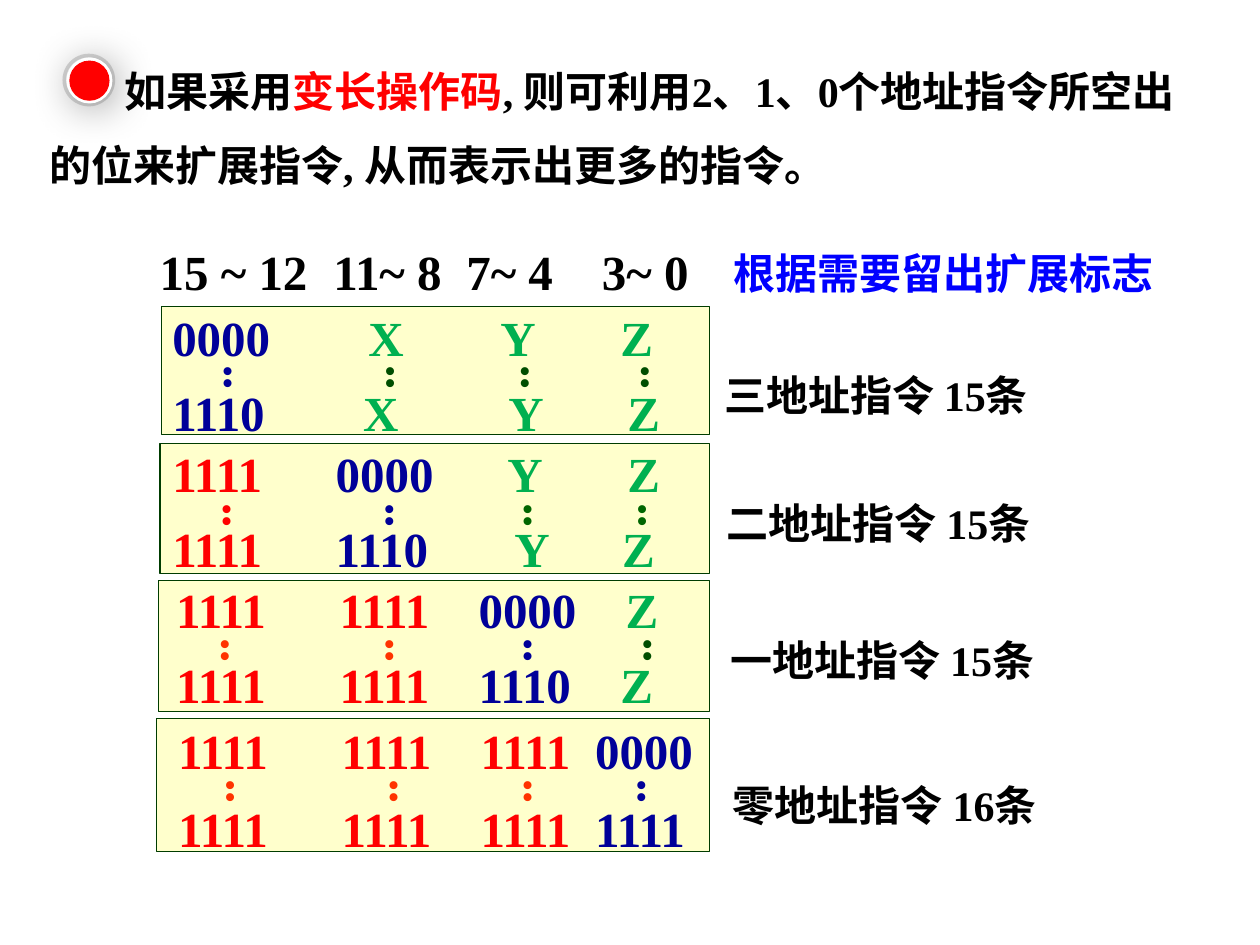
"""Build the slide on expanding opcodes of variable length."""
from dataclasses import dataclass
from typing import NamedTuple

from lxml.etree import SubElement
from pptx import Presentation
from pptx.dml.color import RGBColor
from pptx.enum.shapes import MSO_SHAPE
from pptx.enum.text import MSO_ANCHOR, MSO_AUTO_SIZE, PP_ALIGN
from pptx.oxml.ns import qn
from pptx.util import Pt


@dataclass(frozen=True)
class Theme:
    """Hold the colours, fonts and type sizes."""
    black: str = "000000"
    white: str = "FFFFFF"
    emphasis: str = "FF0000"
    note: str = "0000FF"
    opcode: str = "000099"
    address: str = "00B050"
    panel: str = "FFFFCC"
    panel_line: str = "003C00"
    ring: str = "D9D9D9"
    disc: tuple = ("F6F9FC", "F2F2F2")
    latin: str = "Times New Roman"
    cjk: str = "Noto Sans CJK SC"
    text_size: float = 24
    code_size: float = 28


class Box(NamedTuple):
    """Give a frame in points."""
    left: float
    top: float
    width: float
    height: float


class Piece(NamedTuple):
    """Describe a run of text."""
    text: str
    color: str
    size: float
    font: str


class CodeLine(NamedTuple):
    """Describe the four fields of one code and their tab stops."""
    fields: str
    tabs: tuple


@dataclass(frozen=True)
class Format:
    """Describe one instruction format with its panel, codes and label."""
    panel: Box
    codes: Box
    first: CodeLine
    last: CodeLine
    gap: float
    dots_left: tuple
    dots_top: float
    prefix_dot: str
    address_dot: str
    label: Box
    name: str
    count: str


THEME = Theme()

FORMATS = (
    Format(Box(92.2, 175, 313.2, 73.4), Box(91.4, 172.1, 316, 81.4),
           CodeLine("0000 X Y Z", (112, 187.5, 256)), CodeLine("1110 X Y Z", (109, 192, 260)), 9.5,
           (111.6, 204.5, 281.5, 350), 201.8, "FF0000", "004E00",
           Box(406.8, 207.4, 237.6, 36), "三地址指令 ", "15条"),
    Format(Box(91.4, 253.4, 313.9, 74.2), Box(91.4, 249.8, 319.7, 81.4),
           CodeLine("1111 0000 Y Z", (93.4, 191.5, 260)), CodeLine("1111 1110 Y Z", (93.4, 195.5, 257)), 9.5,
           (111, 204, 283, 348.5), 280.6, "FF0000", "006600",
           Box(408.2, 280.8, 243.4, 36), "二地址指令 ", "15条"),
    Format(Box(90.7, 331.9, 314.6, 74.9), Box(93.6, 327.6, 312.5, 81.4),
           CodeLine("1111 1111 0000 Z", (93.4, 172.8, 256.8)), CodeLine("1111 1111 1110 Z", (93.4, 172.8, 253.8)), 9.5,
           (110, 204, 283, 351.5), 357.5, "FF3300", "004E00",
           Box(410.4, 359.3, 259.2, 36), "一地址指令 ", "15条"),
    Format(Box(89.3, 410.4, 316.1, 76.3), Box(94.8, 408.2, 315.6, 81.4),
           CodeLine("1111 1111 1111 0000", (93.4, 172.8, 238.2)), CodeLine("1111 1111 1111 1111", (93.4, 172.8, 238.2)), 10.7,
           (113, 206.5, 283, 348), 438.5, "FF3300", "004E00",
           Box(411.8, 442.1, 288, 36), "零地址指令 ", "16条"),
)


def rgb(color: str) -> RGBColor:
    """Turn a hex string into a colour."""
    return RGBColor.from_string(color)


def apply(target, values: dict) -> None:
    """Set each attribute named in the format values."""
    for key, value in values.items():
        setattr(target, key, value)


def points(box: Box) -> tuple:
    """Turn a frame into lengths."""
    return tuple(Pt(value) for value in box)


def write(paragraph, pieces: list[Piece]) -> None:
    """Add formatted bold runs to a paragraph."""
    for piece in pieces:
        run = paragraph.add_run()
        run.text = piece.text
        apply(run.font, {"size": Pt(piece.size), "bold": True, "name": piece.font})
        run.font.color.rgb = rgb(piece.color)
        SubElement(run.font._element, qn("a:ea"), typeface=THEME.cjk)


def set_tabs(paragraph, stops: tuple) -> None:
    """Add left tab stops to a paragraph."""
    tab_list = SubElement(paragraph._p.get_or_add_pPr(), qn("a:tabLst"))
    for stop in stops:
        SubElement(tab_list, qn("a:tab"), pos=str(int(Pt(stop))), algn="l")


def add_text(slide, box: Box, pieces: list[Piece], wrap: bool = True, tabs: tuple = ()):
    """Add a text box with one paragraph and return its frame."""
    frame = slide.shapes.add_textbox(*points(box)).text_frame
    apply(frame, {"word_wrap": wrap, "auto_size": MSO_AUTO_SIZE.NONE})
    if tabs:
        set_tabs(frame.paragraphs[0], tabs)
    write(frame.paragraphs[0], pieces)
    return frame


def add_shape(slide, kind: MSO_SHAPE, box: Box, fill: str | None, line: str | None, weight: float = 0):
    """Add a flat preset shape."""
    shape = slide.shapes.add_shape(kind, *points(box))
    shape.shadow.inherit = False
    if fill:
        shape.fill.solid()
        shape.fill.fore_color.rgb = rgb(fill)
    else:
        shape.fill.background()
    if line:
        shape.line.color.rgb = rgb(line)
        shape.line.width = Pt(weight)
    else:
        shape.line.fill.background()
    return shape


def code_pieces(line: CodeLine, opcode_column: int) -> list[Piece]:
    """Colour the fields before, at and after the opcode column."""
    pieces = []
    for column, field in enumerate(line.fields.split()):
        color = THEME.emphasis if column < opcode_column else THEME.opcode
        if column > opcode_column:
            color = THEME.address
        pieces.append(Piece(("\t" if column else "") + field, color, THEME.code_size, THEME.latin))
    return pieces


def draw_format(slide, fmt: Format, opcode_column: int) -> None:
    """Draw one instruction format."""
    add_shape(slide, MSO_SHAPE.RECTANGLE, fmt.panel, THEME.panel, THEME.panel_line, 0.75)
    frame = add_text(slide, fmt.codes, code_pieces(fmt.first, opcode_column), tabs=fmt.first.tabs)
    last = frame.add_paragraph()
    last.space_before = Pt(fmt.gap)
    set_tabs(last, fmt.last.tabs)
    write(last, code_pieces(fmt.last, opcode_column))
    for column, left in enumerate(fmt.dots_left):
        color = fmt.prefix_dot if column < opcode_column else THEME.opcode
        if column > opcode_column:
            color = fmt.address_dot
        dots = add_text(slide, Box(left, fmt.dots_top, 48.2, 29),
                        [Piece("..", color, THEME.code_size, THEME.latin)])
        dots._txBody.bodyPr.set("vert", "eaVert")
    add_text(slide, fmt.label, [Piece(fmt.name, THEME.black, THEME.text_size, THEME.cjk),
                                Piece(fmt.count, THEME.black, THEME.text_size, THEME.latin)])


def draw_statement(slide) -> None:
    """Fill the title placeholder with the statement."""
    title = slide.shapes.title
    apply(title, dict(zip(("left", "top", "width", "height"), points(Box(20.9, 20.9, 676.8, 88.6)))))
    frame = title.text_frame
    apply(frame, {"word_wrap": True, "auto_size": MSO_AUTO_SIZE.NONE, "vertical_anchor": MSO_ANCHOR.TOP})
    paragraph = frame.paragraphs[0]
    apply(paragraph, {"alignment": PP_ALIGN.LEFT, "line_spacing": Pt(42)})
    paragraph._p.get_or_add_pPr().set("indent", str(int(Pt(43.2))))
    parts = (("如果采用", THEME.black), ("变长操作码", THEME.emphasis),
             (", 则可利用2、1、0个地址指令所空出的位来扩展指令, 从而表示出更多的指令。", THEME.black))
    write(paragraph, [Piece(text, color, THEME.text_size, THEME.latin) for text, color in parts])


def draw_marker(slide) -> None:
    """Draw the round red marker with its ring and soft shadow."""
    add_shape(slide, MSO_SHAPE.OVAL, Box(36.7, 31.7, 28.1, 28.1), None, THEME.ring, 2)
    disc = add_shape(slide, MSO_SHAPE.OVAL, Box(38.9, 33.8, 24.5, 24.5), THEME.white, THEME.white, 1.75)
    disc.fill.gradient()
    disc.fill.gradient_angle = 270
    for stop, color in zip(disc.fill.gradient_stops, THEME.disc):
        stop.color.rgb = rgb(color)
    effects = disc.element.spPr.find(qn("a:effectLst"))
    shadow = SubElement(effects, qn("a:outerShdw"), blurRad=str(int(Pt(24))), dist=str(int(Pt(3))),
                        dir="2700000", algn="ctr", rotWithShape="0")
    shade = SubElement(shadow, qn("a:srgbClr"), val=THEME.black)
    SubElement(shade, qn("a:alpha"), val="39000")
    add_shape(slide, MSO_SHAPE.OVAL, Box(39.6, 34.6, 23, 23), THEME.emphasis, None)


def main() -> None:
    """Build and save the slide."""
    deck = Presentation()
    apply(deck, {"slide_width": Pt(720), "slide_height": Pt(540)})
    slide = deck.slides.add_slide(deck.slide_layouts[5])
    draw_statement(slide)
    add_text(slide, Box(183.4, 134.6, 236.4, 41), tabs=(76, 153.5),
             pieces=[Piece("11~ 8\t7~ 4\t3~ 0", THEME.black, THEME.code_size, THEME.latin)])
    add_text(slide, Box(84.2, 134.6, 100.1, 41),
             [Piece("15 ~ 12", THEME.black, THEME.code_size, THEME.latin)])
    for opcode_column, fmt in enumerate(FORMATS):
        draw_format(slide, fmt, opcode_column)
    add_text(slide, Box(411.8, 138.2, 258.5, 36), wrap=False,
             pieces=[Piece("根据需要留出扩展标志", THEME.note, THEME.text_size, THEME.latin)])
    draw_marker(slide)
    deck.save("out.pptx")


if __name__ == "__main__":
    main()
